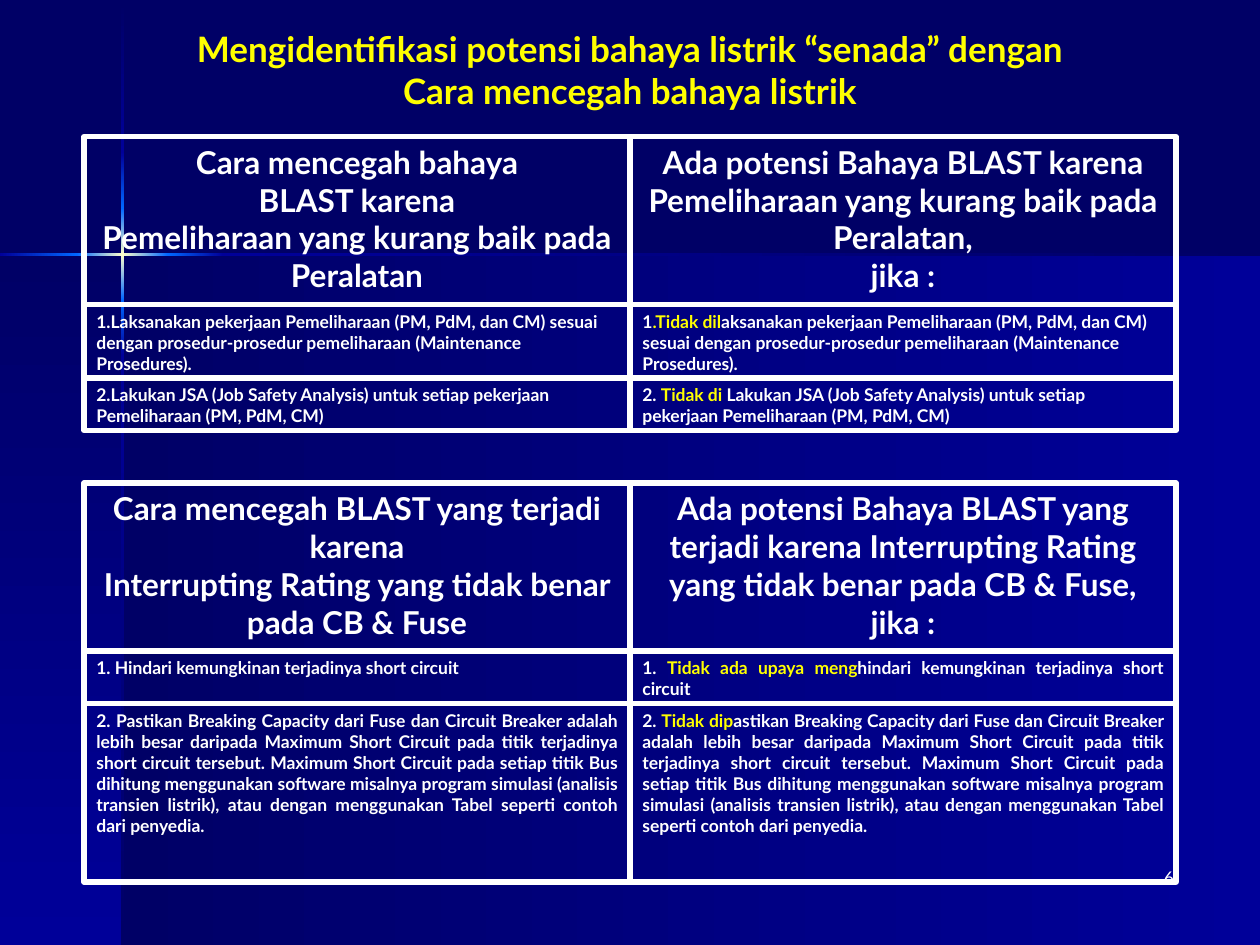
from dataclasses import dataclass
from itertools import pairwise

import pptx
import pptx.dml.color
import pptx.enum.shapes
import pptx.enum.text
import pptx.util

Pt = pptx.util.Pt
RGBColor = pptx.dml.color.RGBColor
Align = pptx.enum.text.PP_ALIGN

NAVY = RGBColor(0x00, 0x00, 0x66)
BLUE = RGBColor(0x00, 0x00, 0x99)
AZURE = RGBColor(0x00, 0x66, 0xFF)
CREAM = RGBColor(0xFF, 0xFF, 0xCC)
WHITE = RGBColor(0xFF, 0xFF, 0xFF)
YELLOW = RGBColor(0xFF, 0xFF, 0x00)

FONT = "Lato"
WIDTH, HEIGHT = 720, 540
CROSS_X, CROSS_Y, ARM = 70, 145.5, 1.5
COLUMN_LEFT, COLUMN_WIDTH = 48, 312


@dataclass
class Run:
    text: str
    color: RGBColor = WHITE


@dataclass
class Row:
    height: float
    cells: list[list[list[Run]]]  # column, paragraph, run
    align: Align
    size: float = 10


@dataclass
class Comparison:
    top: float
    rows: list[Row]


def write(frame, paragraphs: list[list[Run]], size: float, align: Align, bold: bool = True) -> None:
    frame.word_wrap = True
    frame.auto_size = pptx.enum.text.MSO_AUTO_SIZE.NONE
    frame.vertical_anchor = pptx.enum.text.MSO_ANCHOR.TOP
    for index, runs in enumerate(paragraphs):
        paragraph = frame.add_paragraph() if index else frame.paragraphs[0]
        paragraph.alignment = align
        for part in runs:
            run = paragraph.add_run()
            run.text = part.text
            run.font.name = FONT
            run.font.size = Pt(size)
            run.font.bold = bold
            run.font.color.rgb = part.color


def add_rectangle(slide, left: float, top: float, width: float, height: float):
    rectangle = slide.shapes.add_shape(
        pptx.enum.shapes.MSO_SHAPE.RECTANGLE, Pt(left), Pt(top), Pt(width), Pt(height))
    rectangle.shadow.inherit = False
    return rectangle


def add_gradient(slide, left: float, top: float, width: float, height: float,
                 start: RGBColor, end: RGBColor, downward: bool) -> None:
    panel = add_rectangle(slide, left, top, width, height)
    panel.line.fill.background()
    panel.fill.gradient()
    panel.fill.gradient_angle = 270 if downward else 0
    for stop, color in zip(panel.fill.gradient_stops, (start, end)):
        stop.color.rgb = color


def add_backdrop(slide) -> None:
    slide.background.fill.solid()
    slide.background.fill.fore_color.rgb = NAVY
    depth = HEIGHT - CROSS_Y
    add_gradient(slide, CROSS_X, CROSS_Y, WIDTH - CROSS_X, depth, NAVY, BLUE, False)
    add_gradient(slide, 0, CROSS_Y, CROSS_X, depth, NAVY, BLUE, True)

    # Glowing cross: each arm runs through a list of (position, colour)
    vertical = [(1, NAVY), (87, BLUE), (119, AZURE), (CROSS_Y, CREAM),
                (171.5, AZURE), (203, BLUE), (HEIGHT, NAVY)]
    horizontal = [(0, BLUE), (44, AZURE), (CROSS_X, CREAM),
                  (96, AZURE), (127.5, BLUE), (WIDTH, NAVY)]
    for (begin, start), (finish, end) in pairwise(vertical):
        add_gradient(slide, CROSS_X - ARM / 2, begin, ARM, finish - begin, start, end, True)
    for (begin, start), (finish, end) in pairwise(horizontal):
        add_gradient(slide, begin, CROSS_Y - ARM / 2, finish - begin, ARM, start, end, False)


def add_comparison(slide, comparison: Comparison) -> None:
    top = comparison.top
    for row in comparison.rows:
        for column, paragraphs in enumerate(row.cells):
            cell = add_rectangle(slide, COLUMN_LEFT + column * COLUMN_WIDTH, top,
                                 COLUMN_WIDTH, row.height)
            cell.fill.background()
            cell.line.color.rgb = WHITE
            cell.line.width = Pt(3)
            write(cell.text_frame, paragraphs, row.size, row.align)
        top += row.height


def header(*columns: list[str]) -> Row:
    return Row(96, [[[Run(line)] for line in lines] for lines in columns], Align.CENTER, 18)


def measure(height: float, align: Align, prevention: str,
            number: str, negation: str, rest: str) -> Row:
    hazard = [Run(number), Run(negation, YELLOW), Run(rest)]
    return Row(height, [[[Run(prevention)]], [hazard]], align)


# Wording shared by a prevention and its matching hazard
PROCEDURES = ("aksanakan pekerjaan Pemeliharaan (PM, PdM, dan CM) sesuai dengan "
              "prosedur-prosedur pemeliharaan (Maintenance Prosedures).")
JSA = ("Lakukan JSA (Job Safety Analysis) untuk setiap pekerjaan "
       "Pemeliharaan (PM, PdM, CM)")
SHORT_CIRCUIT = "indari kemungkinan terjadinya short circuit"
CAPACITY = ("astikan Breaking Capacity dari Fuse dan Circuit Breaker adalah lebih besar "
            "daripada Maximum Short Circuit pada titik terjadinya short circuit tersebut. "
            "Maximum Short Circuit pada setiap titik Bus dihitung menggunakan software "
            "misalnya program simulasi (analisis transien listrik), atau dengan "
            "menggunakan Tabel seperti contoh dari penyedia.")

COMPARISONS = [
    Comparison(78, [
        header(["Cara mencegah bahaya", "BLAST karena",
                "Pemeliharaan yang kurang baik pada Peralatan"],
               ["Ada potensi Bahaya BLAST karena Pemeliharaan yang kurang baik pada Peralatan,",
                "jika :"]),
        measure(42, Align.LEFT, "1.L" + PROCEDURES, "1", ".Tidak dil", PROCEDURES),
        measure(30, Align.LEFT, "2." + JSA, "2. ", "Tidak di ", JSA),
    ]),
    Comparison(276, [
        header(["Cara mencegah BLAST yang terjadi karena",
                "Interrupting Rating yang tidak benar pada CB & Fuse"],
               ["Ada potensi Bahaya BLAST yang terjadi karena Interrupting Rating "
                "yang tidak benar pada CB & Fuse, jika :"]),
        measure(30, Align.JUSTIFY, "1. H" + SHORT_CIRCUIT,
                "1. ", "Tidak ada upaya meng", "h" + SHORT_CIRCUIT),
        measure(102, Align.JUSTIFY, "2. P" + CAPACITY, "2. ", "Tidak dip", CAPACITY),
    ]),
]


def main() -> None:
    deck = pptx.Presentation()
    deck.slide_width, deck.slide_height = Pt(WIDTH), Pt(HEIGHT)
    slide = deck.slides.add_slide(deck.slide_layouts[5])
    add_backdrop(slide)

    # Title
    title = slide.shapes.title
    title.left, title.top, title.width, title.height = Pt(60), Pt(12), Pt(600), Pt(55.5)
    write(title.text_frame,
          [[Run("Mengidentifikasi potensi bahaya listrik “senada” dengan", YELLOW)],
           [Run("Cara mencegah bahaya listrik", YELLOW)]], 20, Align.CENTER)

    # Page number
    page_number = slide.shapes.add_textbox(Pt(528), Pt(492), Pt(150), Pt(36))
    write(page_number.text_frame, [[Run("6")]], 10, Align.RIGHT, bold=False)

    # Prevention and hazard, side by side
    for comparison in COMPARISONS:
        add_comparison(slide, comparison)

    deck.save("out.pptx")


if __name__ == "__main__":
    main()
